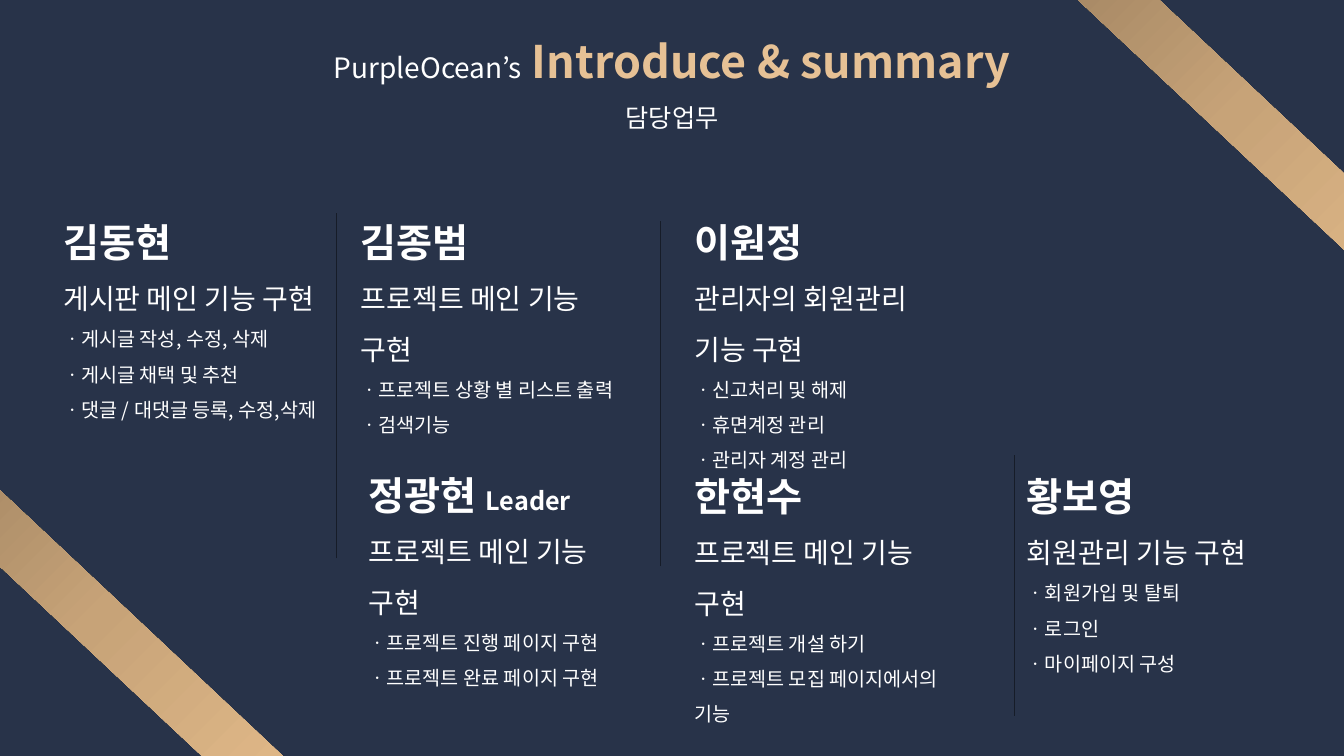
from dataclasses import dataclass

from lxml.etree import SubElement
from pptx import Presentation
from pptx.dml.color import RGBColor
from pptx.enum.shapes import MSO_CONNECTOR as Connector, MSO_SHAPE as Preset
from pptx.enum.text import MSO_AUTO_SIZE as AutoSize, PP_ALIGN as Align
from pptx.oxml import parse_xml
from pptx.oxml.ns import nsdecls, qn
from pptx.util import Emu, Inches, Pt

FONT = "Noto Sans CJK KR"
NAVY = RGBColor(0x28, 0x33, 0x49)
DARK = RGBColor(0x16, 0x1C, 0x28)
WHITE = RGBColor(0xFF, 0xFF, 0xFF)
GOLD = RGBColor(0xE6, 0xC1, 0x95)
RIBBON_STOPS = (
    (0, RGBColor(0x8C, 0x73, 0x55)),
    (50, RGBColor(0xC7, 0xA3, 0x78)),
    (100, RGBColor(0xEC, 0xC2, 0x8F)),
)

# Lengths are percentages of the slide's width and height
WIDTH, HEIGHT = Inches(13.33), Inches(7.5)
MEMBER_WIDTH = 21.3
RIBBON_WIDTH, RIBBON_HEIGHT = 49.81, 7.33


def across(share: float) -> Emu:
    return Emu(round(WIDTH * share / 100))


def down(share: float) -> Emu:
    return Emu(round(HEIGHT * share / 100))


@dataclass(frozen=True)
class Piece:
    text: str
    size: int
    bold: bool = False
    color: RGBColor = WHITE


@dataclass(frozen=True)
class Member:
    left: float
    top: float
    height: float
    name: str
    role: str
    tasks: tuple[str, ...]
    badge: str = ""


@dataclass(frozen=True)
class Divider:
    left: float
    top: float
    bottom: float


@dataclass(frozen=True)
class Ribbon:
    left: float
    top: float


MEMBERS = (
    Member(26.1, 25.07, 26.93, "김종범", "프로젝트 메인 기능 구현",
           ("프로젝트 상황 별 리스트 출력", "검색기능")),
    Member(50.92, 25.07, 35.07, "이원정", "관리자의 회원관리 기능 구현",
           ("신고처리 및 해제", "휴면계정 관리", "관리자 계정 관리")),
    Member(50.92, 58.67, 26.93, "한현수", "프로젝트 메인 기능 구현",
           ("프로젝트 개설 하기", "프로젝트 모집 페이지에서의 기능")),
    Member(75.67, 58.67, 31.6, "황보영", "회원관리 기능 구현",
           ("회원가입 및 탈퇴", "로그인", "마이페이지 구성")),
    Member(26.7, 58.53, 30.27, "정광현 ", "프로젝트 메인 기능 구현",
           ("프로젝트 진행 페이지 구현", "프로젝트 완료 페이지 구현"), "Leader"),
    Member(3.97, 25.07, 31.6, "김동현", "게시판 메인 기능 구현",
           ("게시글 작성, 수정, 삭제", "게시글 채택 및 추천",
            "댓글 / 대댓글 등록, 수정,삭제")),
)
DIVIDERS = (
    Divider(25.06, 28.13, 73.87),
    Divider(49.14, 29.2, 74.93),
    Divider(75.47, 60.13, 94.67),
)
RIBBONS = (Ribbon(67.07, 10.93), Ribbon(-17.78, 78.13))


def add_text(slide, left: float, top: float, width: float, height: float,
             lines: list[list[Piece]], align: Align = Align.LEFT) -> None:
    shape = slide.shapes.add_textbox(across(left), down(top), across(width), down(height))
    frame = shape.text_frame
    frame.word_wrap = True
    frame.auto_size = AutoSize.SHAPE_TO_FIT_TEXT
    for index, pieces in enumerate(lines):
        paragraph = frame.add_paragraph() if index else frame.paragraphs[0]
        paragraph.alignment = align
        paragraph.line_spacing = 1.5
        for piece in pieces:
            run = paragraph.add_run()
            run.text = piece.text
            run.font.size = Pt(piece.size)
            run.font.bold = piece.bold
            run.font.color.rgb = piece.color
            run.font.name = FONT
            # Korean glyphs use the East Asian typeface
            SubElement(run.font._element, qn("a:ea"), typeface=FONT)


def add_member(slide, member: Member) -> None:
    heading = [Piece(member.name, 28, bold=True)]
    if member.badge:
        heading.append(Piece(member.badge, 18, bold=True))
    lines = [heading, [Piece(member.role, 20)]]
    lines += [[Piece(f"ㆍ{task}", 14)] for task in member.tasks]
    add_text(slide, member.left, member.top, MEMBER_WIDTH, member.height, lines)


def add_divider(slide, divider: Divider) -> None:
    line = slide.shapes.add_connector(
        Connector.STRAIGHT, across(divider.left), down(divider.bottom),
        across(divider.left), down(divider.top))
    line.line.color.rgb = DARK
    line.line.width = Pt(0.5)
    SubElement(line._element.spPr, qn("a:effectLst"))


def add_ribbon(slide, ribbon: Ribbon) -> None:
    shape = slide.shapes.add_shape(
        Preset.TRAPEZOID, across(ribbon.left), down(ribbon.top),
        across(RIBBON_WIDTH), down(RIBBON_HEIGHT))
    shape.adjustments[0] = 0.587
    shape.rotation = 223.2
    shape.shadow.inherit = False
    shape.line.fill.background()
    properties = shape._element.spPr
    properties.find(qn("a:xfrm")).set("flipV", "1")
    # Radial gradient spreading from one corner
    stops = "".join(
        f'<a:gs pos="{position * 1000}"><a:srgbClr val="{color}"/></a:gs>'
        for position, color in RIBBON_STOPS)
    gradient = parse_xml(
        f'<a:gradFill {nsdecls("a")} rotWithShape="1"><a:gsLst>{stops}</a:gsLst>'
        '<a:path path="circle"><a:fillToRect r="100000" b="100000"/></a:path></a:gradFill>')
    properties.find(qn("a:prstGeom")).addnext(gradient)


def main() -> None:
    presentation = Presentation()
    presentation.slide_width, presentation.slide_height = WIDTH, HEIGHT
    slide = presentation.slides.add_slide(presentation.slide_layouts[6])
    slide.background.fill.solid()
    slide.background.fill.fore_color.rgb = NAVY

    # Corner ribbons
    for ribbon in RIBBONS:
        add_ribbon(slide, ribbon)

    # Title
    add_text(slide, 21.01, 0.27, 57.99, 17.47, [
        [Piece("PurpleOcean’s", 20), Piece(" Introduce & summary", 32, True, GOLD)],
        [Piece("담당업무", 18)],
    ], Align.CENTER)

    # Team members and the lines between them
    for divider in DIVIDERS:
        add_divider(slide, divider)
    for member in MEMBERS:
        add_member(slide, member)

    presentation.save("out.pptx")


if __name__ == "__main__":
    main()
